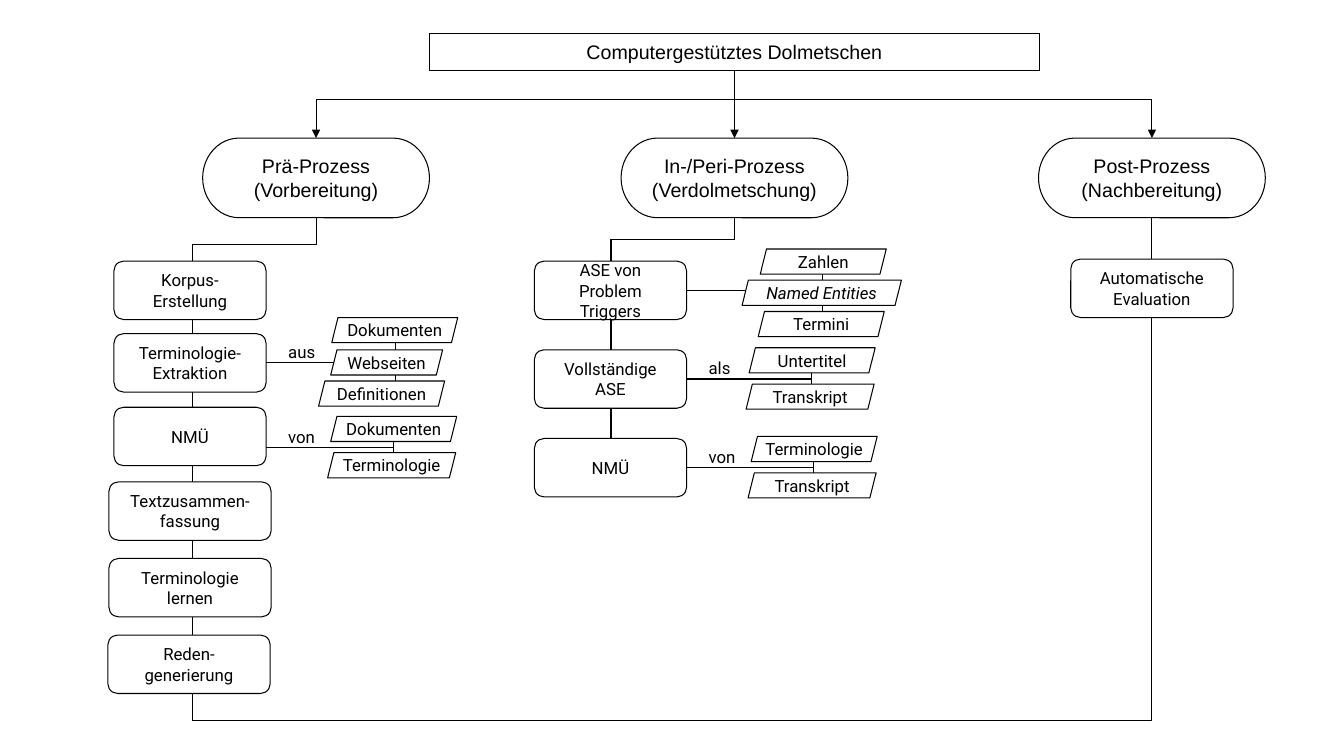
import pptx
import pptx.util
import pptx.dml.color
import pptx.enum.shapes
import pptx.enum.text
import pptx.oxml
import pptx.oxml.ns

Inches = pptx.util.Inches
SHAPES = pptx.enum.shapes.MSO_SHAPE
CONNECTORS = pptx.enum.shapes.MSO_CONNECTOR
ALIGN = pptx.enum.text.PP_ALIGN
BLACK, WHITE = "000000", "FFFFFF"
TOP, BOTTOM, RIGHT = 0, 2, 3

PHASE_TOP, PHASE_WIDTH, PHASE_HEIGHT = 1.37, 2.25, 0.79
BUS_Y, RETURN_Y = 0.99, 7.15
STEP_HEIGHT, CARD_HEIGHT = 0.58, 0.25
PREP_X, LIVE_X = 1.91, 6.06

# left, lines
PHASES = [
    (2.01, ["Prä-Prozess", "(Vorbereitung)"]),
    (6.16, ["In-/Peri-Prozess", "(Verdolmetschung)"]),
    (10.3, ["Post-Prozess", "(Nachbereitung)"]),
]
# left, top, width, lines
PREP_STEPS = [
    (1.13, 2.59, 1.51, ["Korpus-", "Erstellung"]),
    (1.13, 3.31, 1.51, ["Terminologie-Extraktion"]),
    (1.13, 4.04, 1.51, ["NMÜ"]),
    (1.08, 4.78, 1.61, ["Textzusammen-", "fassung"]),
    (1.08, 5.54, 1.61, ["Terminologie", "lernen"]),
    (1.07, 6.3, 1.61, ["Reden-generierung"]),
]
LIVE_STEPS = [
    (5.3, 2.59, 1.51, ["ASE von Problem Triggers"]),
    (5.3, 3.47, 1.51, ["Vollständige", "ASE"]),
    (5.3, 4.35, 1.51, ["NMÜ"]),
]
EVALUATION = (10.62, 2.57, 1.61, ["Automatische", "Evaluation"])


def color(hex_value):
    return pptx.dml.color.RGBColor.from_string(hex_value)


def write(shape, lines, size, font, align=ALIGN.CENTER, italic=None):
    frame = shape.text_frame
    frame.word_wrap = True
    frame.text = "\n".join(lines)
    for para in frame.paragraphs:
        para.alignment = align
        para.font.size = pptx.util.Pt(size)
        para.font.name = font
        para.font.italic = italic
        para.font.color.rgb = color(BLACK)


def add_box(page, kind, left, top, width, height, lines, size=12, font="Roboto", italic=None):
    box = page.shapes.add_shape(kind, Inches(left), Inches(top), Inches(width), Inches(height))
    box.shadow.inherit = False
    box.fill.solid()
    box.fill.fore_color.rgb = color(WHITE)
    box.line.color.rgb = color(BLACK)
    box.line.width = pptx.util.Pt(0.75)
    box.text_frame.vertical_anchor = pptx.enum.text.MSO_ANCHOR.MIDDLE
    write(box, lines, size, font, italic=italic)
    return box


def add_step(page, left, top, width, lines):
    return add_box(page, SHAPES.FLOWCHART_ALTERNATE_PROCESS, left, top, width, STEP_HEIGHT, lines)


def add_card(page, left, top, width, text, italic=None):
    card = add_box(page, SHAPES.PARALLELOGRAM, left, top, width, CARD_HEIGHT, [text], italic=italic)
    frame = card.text_frame
    frame.margin_left = frame.margin_right = frame.margin_top = frame.margin_bottom = 0


def add_line(page, start, end, kind=CONNECTORS.STRAIGHT, arrow=False):
    line = page.shapes.add_connector(kind, *(Inches(value) for value in (*start, *end)))
    line.line.color.rgb = color(BLACK)
    line.line.width = pptx.util.Pt(0.75)
    properties = line._element.spPr
    properties.append(pptx.oxml.parse_xml(f"<a:effectLst {pptx.oxml.ns.nsdecls('a')}/>"))
    if arrow:
        head = pptx.oxml.parse_xml(f"<a:tailEnd {pptx.oxml.ns.nsdecls('a')} type='triangle'/>")
        line.line._get_or_add_ln().append(head)
    return line


def add_elbow(page, start, end, turn_y):
    """Run down from start, left at turn_y, then down to end."""
    across, down = start[0] - end[0], end[1] - start[1]
    left = (start[0] + end[0] - down) / 2
    top = (start[1] + end[1] - across) / 2
    elbow = add_line(page, (left, top), (left + down, top + across), CONNECTORS.ELBOW)
    elbow._element.spPr.find(pptx.oxml.ns.qn("a:xfrm")).set("rot", "5400000")
    geometry = elbow._element.spPr.find(pptx.oxml.ns.qn("a:prstGeom"))
    if turn_y == end[1]:
        geometry.set("prst", "bentConnector2")
    else:
        share = round((turn_y - start[1]) / down * 100000)
        guides = geometry.find(pptx.oxml.ns.qn("a:avLst"))
        guides.append(pptx.oxml.parse_xml(
            f"<a:gd {pptx.oxml.ns.nsdecls('a')} name='adj1' fmla='val {share}'/>"))


def add_label(page, left, top, text):
    label = page.shapes.add_textbox(Inches(left), Inches(top), Inches(0.74), Inches(0.3))
    write(label, [text], 12, "Roboto", ALIGN.LEFT)


def add_branch(page, step, start, end_x, stem_x, cards, label=None):
    """Link a step to its stack of cards; start is on the step's right edge."""
    link = add_line(page, start, (end_x, start[1]))
    if step is not None:
        link.begin_connect(step, RIGHT)
    add_line(page, (stem_x, cards[0][1]), (stem_x, cards[-1][1] + CARD_HEIGHT))
    for card in cards:
        add_card(page, *card)
    if label:
        add_label(page, start[0] + 0.12, start[1] - 0.26, label)


def main():
    deck = pptx.Presentation()
    deck.slide_width, deck.slide_height = Inches(13.33), Inches(7.5)
    page = deck.slides.add_slide(deck.slide_layouts[6])

    centers = [left + PHASE_WIDTH / 2 for left, _ in PHASES]
    phase_bottom = PHASE_TOP + PHASE_HEIGHT
    add_elbow(page, (centers[0], phase_bottom), (PREP_X, RETURN_Y), 2.43)
    add_elbow(page, (centers[1], phase_bottom), (LIVE_X, 4.93), 2.38)
    add_elbow(page, (centers[2], 3.15), (PREP_X, RETURN_Y), RETURN_Y)

    root = add_box(page, SHAPES.FLOWCHART_PROCESS, 4.26, 0.33, 6.05, 0.37,
                   ["Computergestütztes Dolmetschen"], 14, "Arial")
    add_line(page, (centers[0], BUS_Y), (centers[2], BUS_Y))
    phases = []
    for (left, lines), center in zip(PHASES, centers):
        phase = add_box(page, SHAPES.FLOWCHART_TERMINATOR, left, PHASE_TOP, PHASE_WIDTH,
                        PHASE_HEIGHT, lines, 14, "Arial")
        arrow = add_line(page, (center, BUS_Y), (center, PHASE_TOP), arrow=True)
        if center == centers[1]:
            arrow.begin_connect(root, BOTTOM)
        arrow.end_connect(phase, TOP)
        phases.append(phase)

    prep_steps = [add_step(page, *step) for step in PREP_STEPS]
    live_steps = [add_step(page, *step) for step in LIVE_STEPS]
    evaluation = add_step(page, *EVALUATION)
    link = add_line(page, (centers[2], phase_bottom), (centers[2], EVALUATION[1]))
    link.begin_connect(phases[2], BOTTOM)
    link.end_connect(evaluation, TOP)

    add_branch(page, prep_steps[1], (2.64, 3.6), 3.31, 3.92, [
        (3.29, 3.15, 1.25, "Dokumenten"),
        (3.28, 3.47, 1.11, "Webseiten"),
        (3.16, 3.78, 1.25, "Definitionen")], "aus")
    add_branch(page, None, (2.64, 4.44), 3.9, 3.9, [
        (3.28, 4.13, 1.25, "Dokumenten"),
        (3.25, 4.49, 1.27, "Terminologie")], "von")
    add_branch(page, live_steps[0], (6.81, 2.88), 7.83, 8.16, [
        (7.54, 2.47, 1.25, "Zahlen"),
        (7.36, 2.78, 1.58, "Named Entities", True),
        (7.52, 3.09, 1.25, "Termini")])
    add_branch(page, live_steps[1], (6.81, 3.76), 8.05, 8.05, [
        (7.43, 3.45, 1.25, "Untertitel"),
        (7.4, 3.81, 1.27, "Transkript")], "als")
    add_branch(page, live_steps[2], (6.81, 4.64), 8.07, 8.07, [
        (7.45, 4.33, 1.25, "Terminologie"),
        (7.42, 4.69, 1.27, "Transkript")], "von")
    deck.save("out.pptx")


if __name__ == "__main__":
    main()
